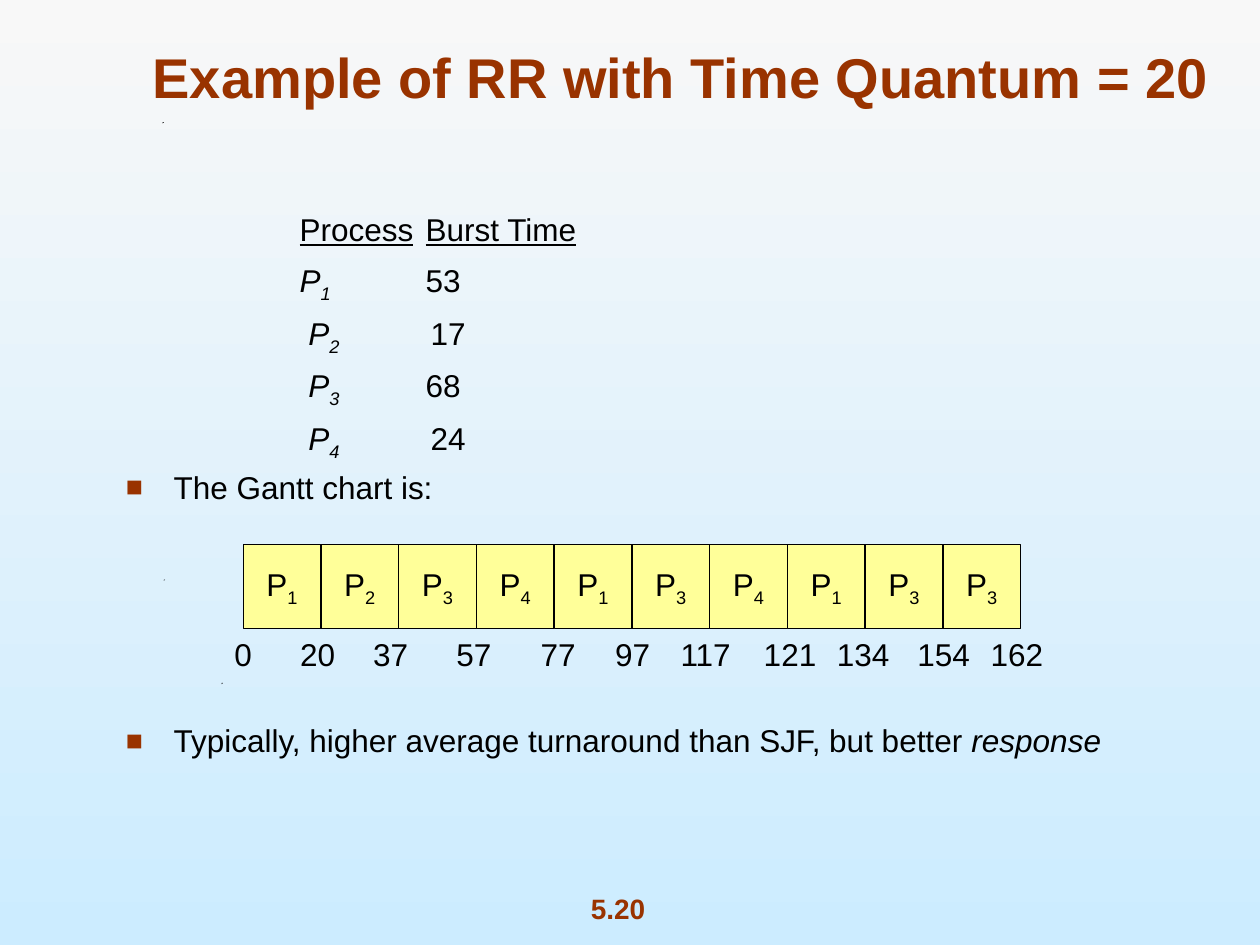
from dataclasses import dataclass

from lxml.etree import SubElement
from pptx import Presentation
from pptx.dml.color import RGBColor
from pptx.enum.shapes import MSO_SHAPE
from pptx.enum.text import MSO_ANCHOR, PP_ALIGN
from pptx.oxml.ns import qn
from pptx.util import Inches, Pt


@dataclass(frozen=True)
class Theme:
    face: str = "Arial"
    ink: RGBColor = RGBColor(0x00, 0x00, 0x00)
    rust: RGBColor = RGBColor(0x99, 0x33, 0x00)
    cell: RGBColor = RGBColor(0xFF, 0xFF, 0x99)
    sky: tuple = (RGBColor(0xF8, 0xF8, 0xF8), RGBColor(0xCC, 0xEC, 0xFF))
    title: Pt = Pt(32)
    body: Pt = Pt(18)
    page: Pt = Pt(16)
    gap: Pt = Pt(7.9)
    edge: Pt = Pt(0.75)


THEME = Theme()

# Process number, burst time, and the tab stops of the row
BURSTS = [("1", "53", (1.38, 2.38)), ("2", "17", (1.45, 2.42)),
          ("3", "68", (1.45, 2.38)), ("4", "24", (1.45, 2.42))]
TURNS = "1234134133"
# Switch time and the centre of its label, measured from the chart's left
TICKS = [("0", 0), ("20", 0.59), ("37", 1.17), ("57", 1.83), ("77", 2.5),
         ("97", 3.09), ("117", 3.67), ("121", 4.34), ("134", 4.92),
         ("154", 5.56), ("162", 6.14)]
SPECKS = [(1.76, 5.42), (1.3, 4.6), (1.29, 0.97)]


def add_run(para, text, size=THEME.body, color=THEME.ink, bold=False,
            italic=False, line=False, sub=False):
    run = para.add_run()
    run.text = text
    font = run.font
    font.name, font.size, font.bold = THEME.face, size, bold
    font.italic, font.underline = italic, line
    font.color.rgb = color
    if sub:
        run._r.get_or_add_rPr().set("baseline", "-25000")


def add_text(slide, left, top, wide, high, wrap=False, anchor=MSO_ANCHOR.TOP):
    box = slide.shapes.add_textbox(
        Inches(left), Inches(top), Inches(wide), Inches(high))
    frame = box.text_frame
    frame.word_wrap = wrap
    frame.vertical_anchor = anchor
    return frame


def add_label(slide, text, left, top, wide, high, anchor=MSO_ANCHOR.TOP, **look):
    """Place one centred line of text."""
    para = add_text(slide, left, top, wide, high, anchor=anchor).paragraphs[0]
    para.alignment = PP_ALIGN.CENTER
    add_run(para, text, **look)


def set_tabs(para, stops):
    tabs = SubElement(para._p.get_or_add_pPr(), qn("a:tabLst"))
    for stop in stops:
        SubElement(tabs, qn("a:tab"), pos=str(Inches(stop)), algn="l")


def set_bullet(para):
    props = para._p.get_or_add_pPr()
    props.set("marL", str(Inches(0.38)))
    props.set("indent", str(-Inches(0.38)))
    color = SubElement(props, qn("a:buClr"))
    SubElement(color, qn("a:srgbClr"), val=str(THEME.rust))
    SubElement(props, qn("a:buSzPct"), val="90000")
    SubElement(props, qn("a:buFont"), typeface=THEME.face)
    SubElement(props, qn("a:buChar"), char="■")


def next_para(frame, gap=THEME.gap):
    para = frame.add_paragraph()
    para.space_before = gap
    para.line_spacing = 0.9
    return para


def add_body(slide, left, top, wide, high):
    frame = add_text(slide, left, top, wide, high, wrap=True)
    head = frame.paragraphs[0]
    head.line_spacing = 0.9
    set_tabs(head, (1.38, 2.38))
    add_run(head, "\t")
    add_run(head, "Process", line=True)
    add_run(head, "\t")
    add_run(head, "Burst Time", line=True)

    for number, burst, stops in BURSTS:
        row = next_para(frame)
        set_tabs(row, stops)
        add_run(row, "\tP", italic=True)
        add_run(row, number, italic=True, sub=True)
        add_run(row, "\t" + burst)

    intro = next_para(frame)
    set_bullet(intro)
    add_run(intro, "The Gantt chart is:")

    # The wide gap leaves room for the Gantt chart
    note = next_para(frame, Pt(125.4))
    set_bullet(note)
    add_run(note, "Typically, higher average turnaround than SJF, but better ")
    add_run(note, "response", italic=True)


def add_gantt(slide, left, top, wide, high):
    step = wide / len(TURNS)
    for index, number in enumerate(TURNS):
        cell = slide.shapes.add_shape(
            MSO_SHAPE.RECTANGLE, Inches(left + index * step), Inches(top),
            Inches(step), Inches(high))
        cell.shadow.inherit = False
        cell.fill.solid()
        cell.fill.fore_color.rgb = THEME.cell
        cell.line.color.rgb = THEME.ink
        cell.line.width = THEME.edge
        frame = cell.text_frame
        frame.word_wrap = False
        frame.vertical_anchor = MSO_ANCHOR.MIDDLE
        para = frame.paragraphs[0]
        para.alignment = PP_ALIGN.CENTER
        add_run(para, "P")
        add_run(para, number, sub=True)

    for time, centre in TICKS:
        span = 0.2 + 0.14 * len(time)
        add_label(slide, time, left + centre - span / 2, top + high, span, 0.4,
                  anchor=MSO_ANCHOR.MIDDLE)


def add_speck(slide, left, top, size=0.01):
    pen = slide.shapes.build_freeform(Inches(left), Inches(top + size))
    pen.add_line_segments([(Inches(left + size), Inches(top)),
                           (Inches(left), Inches(top))])
    speck = pen.convert_to_shape()
    speck.shadow.inherit = False
    speck.fill.solid()
    speck.fill.fore_color.rgb = THEME.ink
    speck.line.fill.background()


def paint_sky(slide):
    fill = slide.background.fill
    fill.gradient()
    fill.gradient_angle = 270
    for stop, color, place in zip(fill.gradient_stops, THEME.sky, (0, 1)):
        stop.color.rgb = color
        stop.position = place


def main():
    deck = Presentation()
    deck.slide_width, deck.slide_height = Inches(10), Inches(7.5)
    slide = deck.slides.add_slide(deck.slide_layouts[6])
    paint_sky(slide)
    add_label(slide, "5.20", 4.18, 7.03, 1.45, 0.37,
              size=THEME.page, color=THEME.rust, bold=True)
    for left, top in SPECKS:
        add_speck(slide, left, top)
    add_label(slide, "Example of RR with Time Quantum = 20", 1, 0, 8.81, 0.92,
              anchor=MSO_ANCHOR.BOTTOM, size=THEME.title, color=THEME.rust,
              bold=True)
    add_body(slide, 0.9, 1.65, 8.04, 4.9)
    add_gantt(slide, 1.93, 4.32, 6.17, 0.67)
    deck.save("out.pptx")


if __name__ == "__main__":
    main()
